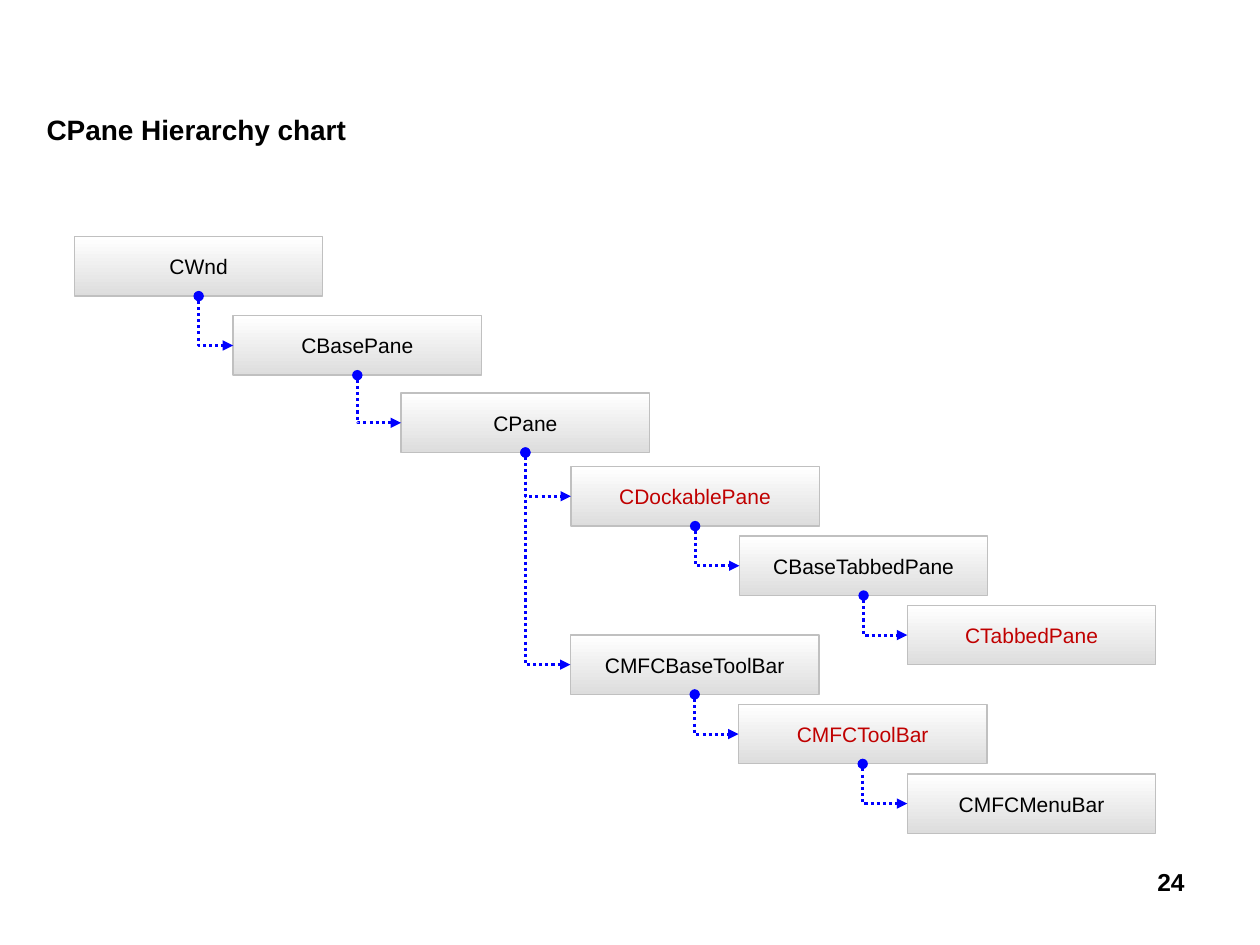
from pptx import Presentation
from pptx.dml.color import RGBColor
from pptx.enum.dml import MSO_LINE
from pptx.enum.shapes import MSO_CONNECTOR, MSO_SHAPE
from pptx.enum.text import MSO_ANCHOR, PP_ALIGN
from pptx.oxml.ns import qn
from pptx.util import Pt
from lxml import etree

BOX_W, BOX_H = 142, 34
BLACK, RED = "000000", "C00000"


def rgb(value):
    return RGBColor.from_string(value)


def write(frame, text, size, align, color=BLACK, bold=False):
    frame.word_wrap = True
    line = frame.paragraphs[0]
    line.text = text
    line.alignment = align
    line.font.name = "Arial"
    line.font.size = Pt(size)
    line.font.bold = bold
    line.font.color.rgb = rgb(color)


prs = Presentation()
prs.slide_width, prs.slide_height = Pt(720), Pt(540)
slide = prs.slides.add_slide(prs.slide_layouts[6])

# Page number and title
page_number = slide.shapes.add_textbox(Pt(516), Pt(492), Pt(168), Pt(37))
write(page_number.text_frame, "24", 14, PP_ALIGN.RIGHT, bold=True)
title = slide.shapes.add_textbox(Pt(19.5), Pt(60.5), Pt(686), Pt(26.5))
write(title.text_frame, "CPane Hierarchy chart", 16, PP_ALIGN.LEFT, bold=True)

# Class, parent, left, top, text colour
hierarchy = [
    ("CWnd", None, 42.5, 135.2, BLACK),
    ("CBasePane", "CWnd", 133.2, 180.4, BLACK),
    ("CPane", "CBasePane", 229.2, 224.6, BLACK),
    ("CDockablePane", "CPane", 326.2, 266.6, RED),
    ("CBaseTabbedPane", "CDockablePane", 422.5, 306.3, BLACK),
    ("CTabbedPane", "CBaseTabbedPane", 518.5, 345.9, RED),
    ("CMFCBaseToolBar", "CPane", 326, 362.8, BLACK),
    ("CMFCToolBar", "CMFCBaseToolBar", 422, 402.5, RED),
    ("CMFCMenuBar", "CMFCToolBar", 518.5, 442.2, BLACK),
]

boxes = {}
for name, parent, left, top, color in hierarchy:
    # Class box
    box = slide.shapes.add_shape(MSO_SHAPE.RECTANGLE, Pt(left), Pt(top), Pt(BOX_W), Pt(BOX_H))
    box.shadow.inherit = False
    box.fill.gradient()
    box.fill.gradient_angle = 270
    for stop, shade in zip(box.fill.gradient_stops, ("FFFFFF", "DDDDDD")):
        stop.color.rgb = rgb(shade)
    box.line.color.rgb = rgb("C0C0C0")
    box.line.width = Pt(0.75)
    box.text_frame.vertical_anchor = MSO_ANCHOR.MIDDLE
    write(box.text_frame, name, 12, PP_ALIGN.CENTER, color)
    boxes[name] = box
    if parent is None:
        continue

    # Dotted arrow from the parent's bottom to this box's left side
    above = boxes[parent]
    start_x, start_y = above.left + above.width // 2, above.top + above.height
    end_x, end_y = box.left, box.top + box.height // 2
    arrow = slide.shapes.add_connector(MSO_CONNECTOR.ELBOW, start_x, start_y, end_x, end_y)
    arrow.begin_connect(above, 2)
    arrow.end_connect(box, 1)
    arrow.line.color.rgb = rgb("0000FF")
    arrow.line.width = Pt(1.75)
    arrow.line.dash_style = MSO_LINE.ROUND_DOT
    properties = arrow._element.spPr
    line = properties.find(qn("a:ln"))
    etree.SubElement(line, qn("a:headEnd"), type="oval")
    etree.SubElement(line, qn("a:tailEnd"), type="triangle")
    etree.SubElement(properties, qn("a:effectLst"))

    # One-corner elbow: a quarter turn swaps width and height about the centre
    properties.find(qn("a:prstGeom")).set("prst", "bentConnector2")
    across, down = end_x - start_x, end_y - start_y
    arrow.left = (start_x + end_x - down) // 2
    arrow.top = (start_y + end_y - across) // 2
    arrow.width, arrow.height = down, across
    turn = properties.find(qn("a:xfrm"))
    turn.set("rot", str(270 * 60000))
    turn.set("flipH", "1")

prs.save("out.pptx")
